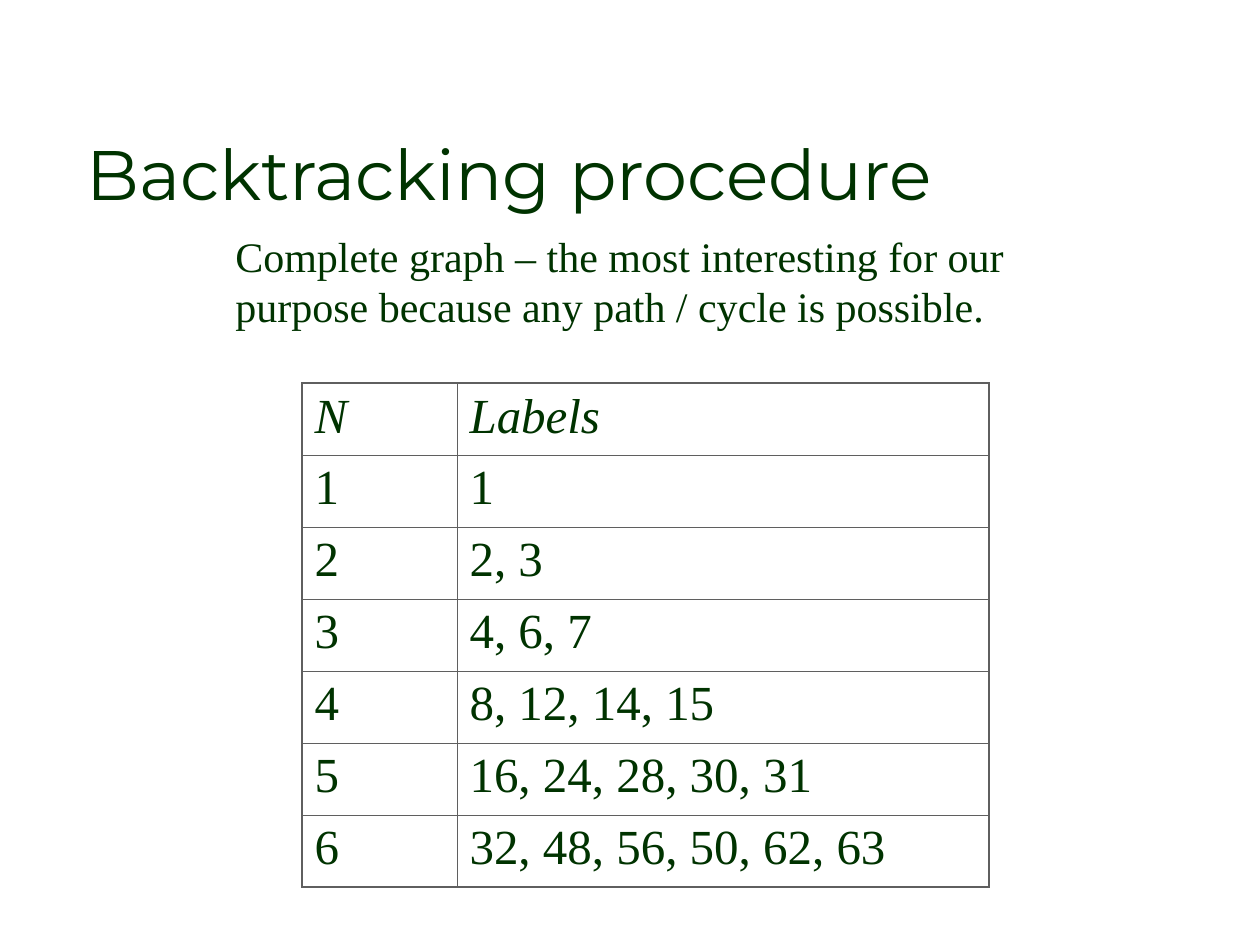
"""Builds the slide on the backtracking procedure with its table of labels."""
from dataclasses import dataclass

from lxml.etree import SubElement
from pptx import Presentation
from pptx.dml.color import RGBColor
from pptx.enum.text import MSO_ANCHOR, MSO_AUTO_SIZE, PP_ALIGN
from pptx.oxml.ns import qn
from pptx.util import Emu, Pt

PX_PER_INCH = 126


@dataclass(frozen=True)
class Theme:
    ink: str = "003300"
    rule: str = "5F5F5F"
    heading_font: str = "Montserrat"
    body_font: str = "Times New Roman"
    title_size: int = 40
    note_size: int = 24
    cell_size: int = 28
    outer_rule: float = 1.08
    inner_rule: float = 0.45


THEME = Theme()
TITLE = "Backtracking procedure"
NOTE = ("Complete graph – the most interesting for our purpose "
        "because any path / cycle is possible.")
LABELS = [
    ("N", "Labels"),
    ("1", "1"),
    ("2", "2, 3"),
    ("3", "4, 6, 7"),
    ("4", "8, 12, 14, 15"),
    ("5", "16, 24, 28, 30, 31"),
    ("6", "32, 48, 56, 50, 62, 63"),
]
COLUMN_WIDTHS = (155, 532)
ROW_HEIGHT = 72


def px(length):
    return Emu(round(length * 914400 / PX_PER_INCH))


def write(frame, text, size, font=THEME.body_font, italic=False):
    paragraph = frame.paragraphs[0]
    paragraph.alignment = PP_ALIGN.LEFT
    run = paragraph.add_run()
    run.text = text
    run.font.name = font
    run.font.size = Pt(size)
    run.font.italic = italic
    run.font.color.rgb = RGBColor.from_string(THEME.ink)


def set_title(slide):
    title = slide.shapes.title
    title.left, title.top, title.width, title.height = map(px, (74, 106, 1142, 132))
    frame = title.text_frame
    frame.auto_size = MSO_AUTO_SIZE.NONE
    frame.vertical_anchor = MSO_ANCHOR.MIDDLE
    write(frame, TITLE, THEME.title_size, THEME.heading_font)


def add_note(slide):
    frame = slide.shapes.add_textbox(*map(px, (223, 224, 804, 114))).text_frame
    frame.word_wrap = True
    write(frame, NOTE, THEME.note_size)


def add_borders(cell, outer_sides):
    properties = cell._tc.get_or_add_tcPr()
    for position, side in enumerate("LRTB"):
        width = THEME.outer_rule if side in outer_sides else THEME.inner_rule
        line = SubElement(properties, qn(f"a:ln{side}"), w=str(Pt(width)))
        fill = SubElement(line, qn("a:solidFill"))
        SubElement(fill, qn("a:srgbClr"), val=THEME.rule)
        properties.insert(position, line)


def add_label_table(slide):
    row_count, column_count = len(LABELS), len(COLUMN_WIDTHS)
    table = slide.shapes.add_table(
        row_count, column_count, px(302), px(383),
        px(sum(COLUMN_WIDTHS)), px(ROW_HEIGHT * row_count)).table
    table.first_row = table.horz_banding = False
    for column, width in zip(table.columns, COLUMN_WIDTHS):
        column.width = px(width)
    for r, texts in enumerate(LABELS):
        table.rows[r].height = px(ROW_HEIGHT)
        for c, text in enumerate(texts):
            cell = table.cell(r, c)
            cell.fill.background()
            edges = {"L": c == 0, "R": c == column_count - 1,
                     "T": r == 0, "B": r == row_count - 1}
            add_borders(cell, [side for side, outer in edges.items() if outer])
            write(cell.text_frame, text, THEME.cell_size, italic=r == 0)


def main():
    deck = Presentation()
    deck.slide_width, deck.slide_height = px(1260), px(945)
    slide = deck.slides.add_slide(deck.slide_layouts.get_by_name("Title Only"))
    set_title(slide)
    add_label_table(slide)
    add_note(slide)
    deck.save("out.pptx")


if __name__ == "__main__":
    main()
